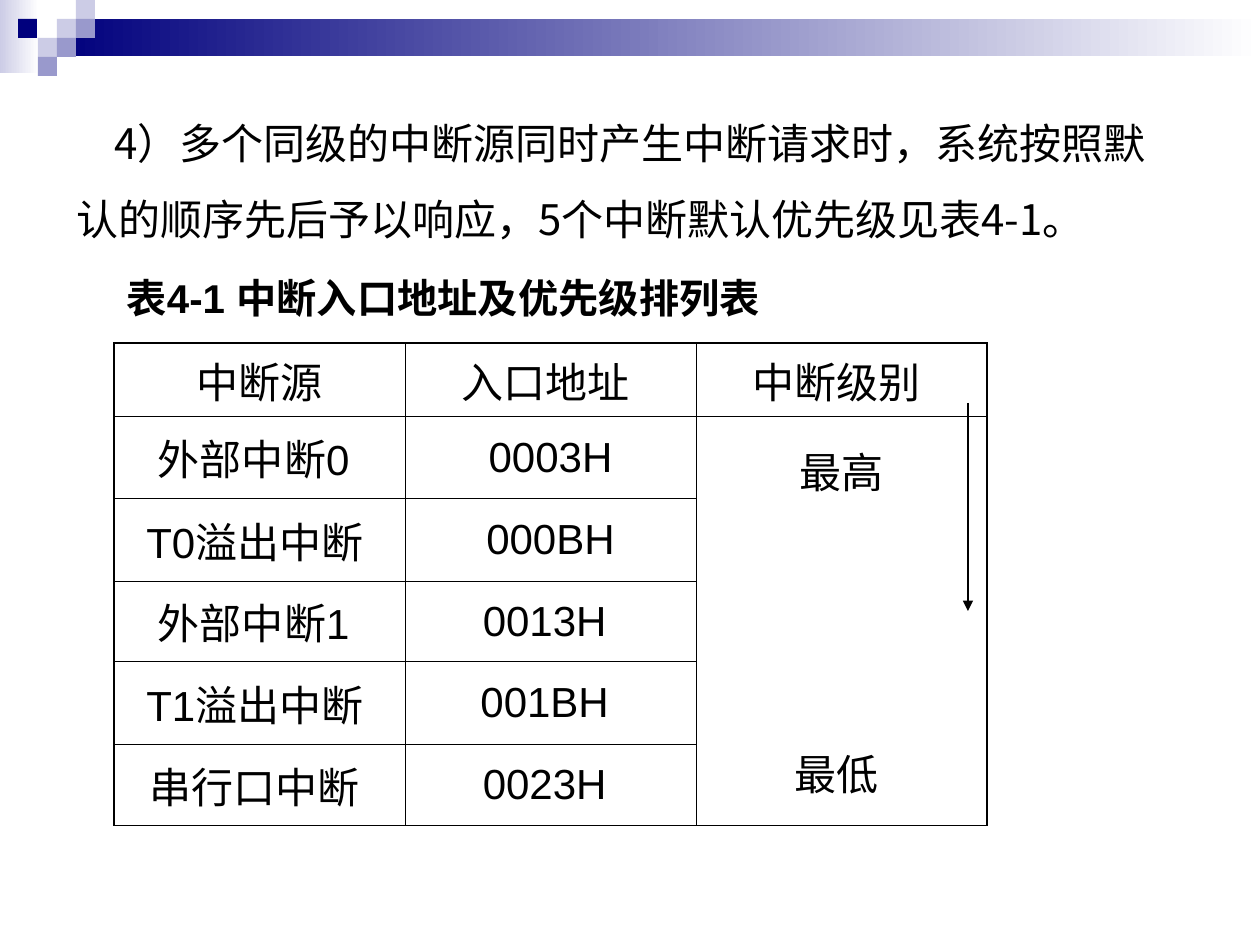
import pptx
import pptx.dml.color
import pptx.enum.shapes
import pptx.enum.text
import pptx.oxml
import pptx.oxml.ns
import pptx.util

PIXELS_PER_INCH = 126
COLORS = {"navy": "00007D", "violet": "9999CC", "lilac": "CCCCE6", "white": "FFFFFF", "black": "000000"}
ROWS = [
    ("中断源", "入口地址 ", "中断级别 "),
    ("外部中断0 ", "0003H", ""),
    ("T0溢出中断 ", "000BH", ""),
    ("外部中断1 ", "0013H ", ""),
    ("T1溢出中断 ", "001BH ", ""),
    ("串行口中断 ", "0023H ", ""),
]
ROW_HEIGHTS = [63, 82, 83, 80, 83, 81]
COLUMN_WIDTH = 291
SQUARES = [
    (57, 19, "lilac"), (76, 0, "lilac"), (76, 19, "violet"), (38, 38, "lilac"),
    (18, 19, "navy"), (57, 38, "violet"), (38, 57, "violet"),
]


def px(*lengths):
    """Turn pixel lengths into a list of EMU lengths."""
    return [pptx.util.Emu(round(length * 914400 / PIXELS_PER_INCH)) for length in lengths]


def rgb(name):
    """Look up a named colour."""
    return pptx.dml.color.RGBColor.from_string(COLORS[name])


def format_paragraph(paragraph, size, font="Arial", bold=False):
    """Set the font of a whole paragraph."""
    paragraph.font.name = font
    paragraph.font.size = pptx.util.Pt(size)
    paragraph.font.bold = bold
    paragraph.font.color.rgb = rgb("black")


def add_rectangle(slide, box, color, fades=False):
    """Add a borderless rectangle, plain or fading to white on the right."""
    shape = slide.shapes.add_shape(pptx.enum.shapes.MSO_SHAPE.RECTANGLE, *px(*box))
    shape.shadow.inherit = False
    shape.line.fill.background()
    if fades:
        shape.fill.gradient()
        shape.fill.gradient_angle = 180
        for stop, position, name in zip(shape.fill.gradient_stops, (0, 1), ("white", color)):
            stop.position = position
            stop.color.rgb = rgb(name)
    else:
        shape.fill.solid()
        shape.fill.fore_color.rgb = rgb(color)


def add_header(slide):
    """Add the fading bands and the mosaic of squares."""
    add_rectangle(slide, (0, 0, 39, 73), "lilac", fades=True)
    add_rectangle(slide, (57, 19, 1203, 37), "navy", fades=True)
    for left, top, color in SQUARES:
        add_rectangle(slide, (left, top, 19, 19), color)


def set_title(slide, text):
    """Place and format the title placeholder."""
    title = slide.shapes.title
    title.left, title.top, title.width, title.height = px(114, 244, 756, 107)
    title.text_frame.text = text
    title.text_frame.word_wrap = True
    title.text_frame.vertical_anchor = pptx.enum.text.MSO_ANCHOR.MIDDLE
    paragraph = title.text_frame.paragraphs[0]
    paragraph.alignment = pptx.enum.text.PP_ALIGN.LEFT
    format_paragraph(paragraph, 23, bold=True)


def add_explanation(slide, lines):
    """Add the opening text with an indented first line."""
    frame = slide.shapes.add_textbox(*px(64, 86, 1130, 170)).text_frame
    frame.word_wrap = True
    frame.text = "\n".join(lines)
    for paragraph in frame.paragraphs:
        paragraph.line_spacing = 1.5
        format_paragraph(paragraph, 24, "Noto Sans CJK SC")
    indent, = px(38)
    frame.paragraphs[0]._p.get_or_add_pPr().set("indent", str(indent))


def fill_cell(cell, text):
    """Write centred text into a cell without a fill."""
    cell.text = text
    cell.fill.background()
    cell.vertical_anchor = pptx.enum.text.MSO_ANCHOR.MIDDLE
    for paragraph in cell.text_frame.paragraphs:
        paragraph.alignment = pptx.enum.text.PP_ALIGN.CENTER
        format_paragraph(paragraph, 24)


def set_borders(cell, widths):
    """Draw the left, right, top and bottom borders in the given point widths."""
    properties = cell._tc.get_or_add_tcPr()
    for index, (side, width) in enumerate(zip("LRTB", widths)):
        properties.insert(index, pptx.oxml.parse_xml(
            f'<a:ln{side} {pptx.oxml.ns.nsdecls("a")} w="{pptx.util.Pt(width)}"><a:solidFill>'
            f'<a:srgbClr val="{COLORS["black"]}"/></a:solidFill></a:ln{side}>'))


def add_priority_table(slide):
    """Add the table of interrupt sources, entry addresses and priority levels."""
    last_row, last_column = len(ROWS) - 1, len(ROWS[0]) - 1
    size = (COLUMN_WIDTH * len(ROWS[0]), sum(ROW_HEIGHTS))
    table = slide.shapes.add_table(len(ROWS), len(ROWS[0]), *px(114, 343, *size)).table
    table.first_row = table.horz_banding = False
    for column in table.columns:
        column.width, = px(COLUMN_WIDTH)
    for row, height in zip(table.rows, ROW_HEIGHTS):
        row.height, = px(height)
    for row, texts in enumerate(ROWS):
        for column, text in enumerate(texts):
            cell = table.cell(row, column)
            fill_cell(cell, text)
            outer = (column == 0, column == last_column, row == 0, row == last_row)
            set_borders(cell, [1.08 if edge else 0.45 for edge in outer])
    level = table.cell(1, last_column)
    level.merge(table.cell(last_row, last_column))
    fill_cell(level, "最高\n最低 ")
    level.text_frame.paragraphs[1].space_before = pptx.util.Pt(138)


def add_arrow(slide, start, end):
    """Add a thin straight arrow."""
    arrow = slide.shapes.add_connector(pptx.enum.shapes.MSO_CONNECTOR.STRAIGHT, *px(*start, *end))
    arrow.line.width = pptx.util.Pt(0.75)
    arrow.line.color.rgb = rgb("black")
    namespace = pptx.oxml.ns.nsdecls("a")
    arrow.get_or_add_ln().append(pptx.oxml.parse_xml(f'<a:tailEnd {namespace} type="triangle"/>'))
    arrow._element.spPr.append(pptx.oxml.parse_xml(f"<a:effectLst {namespace}/>"))


def main():
    """Build the slide and save it."""
    presentation = pptx.Presentation()
    presentation.slide_width, presentation.slide_height = px(1260, 945)
    slide = presentation.slides.add_slide(presentation.slide_layouts[5])
    add_header(slide)
    set_title(slide, "表4-1 中断入口地址及优先级排列表")
    add_priority_table(slide)
    add_arrow(slide, (968, 403), (968, 611))
    add_explanation(slide, [
        "4）多个同级的中断源同时产生中断请求时，系统按照默",
        "认的顺序先后予以响应，5个中断默认优先级见表4-1。",
    ])
    presentation.save("out.pptx")


if __name__ == "__main__":
    main()
